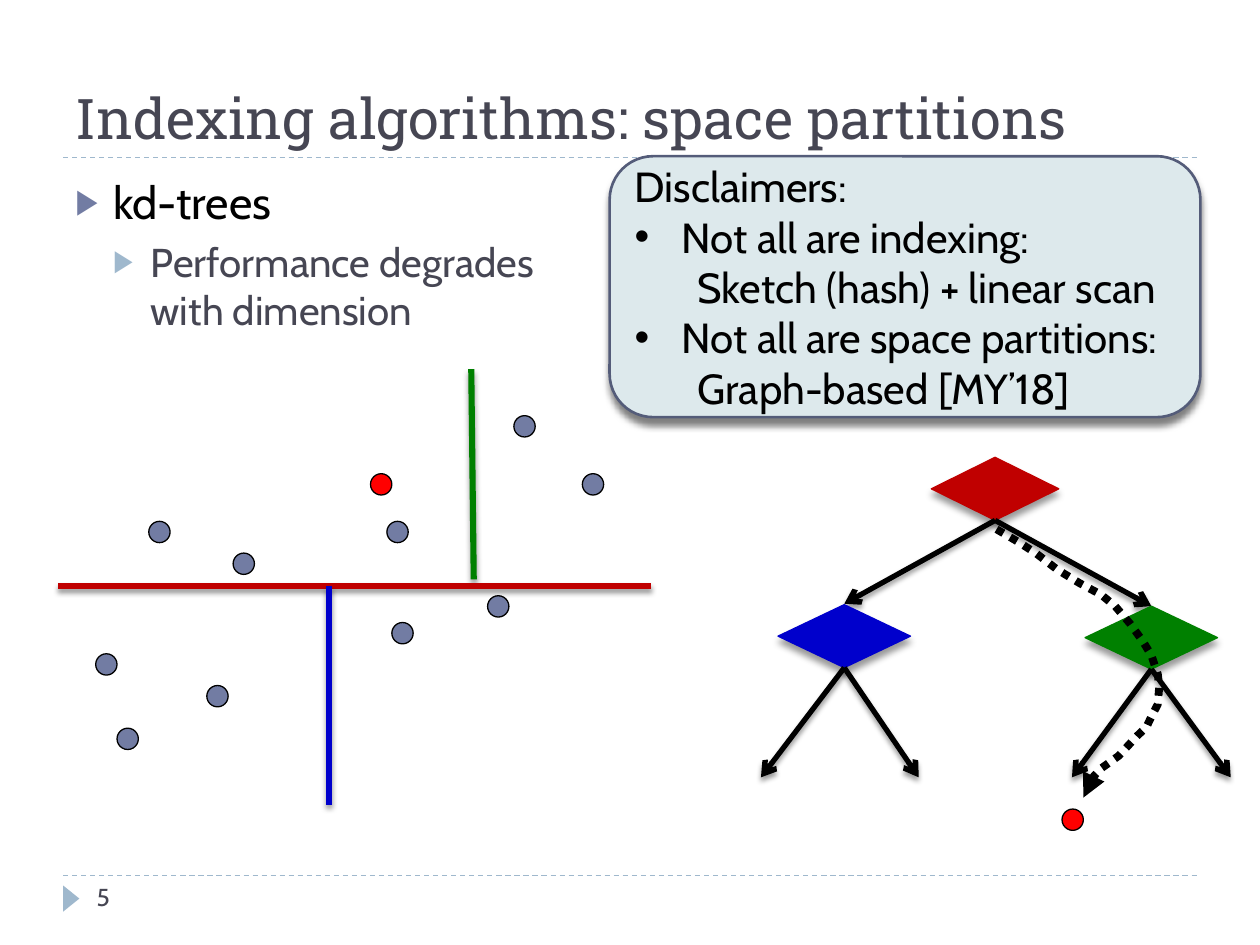
import pptx
import pptx.util
import pptx.dml.color
import pptx.enum.dml
import pptx.enum.shapes
import pptx.enum.text
import pptx.oxml.ns
from lxml import etree

Cm, Pt = pptx.util.Cm, pptx.util.Pt
KIND = pptx.enum.shapes.MSO_SHAPE
DASH = pptx.enum.dml.MSO_LINE
ANCHOR = pptx.enum.text.MSO_ANCHOR

COLORS = {
    "ink": "000000", "slate": "464653", "dot": "727CA3", "sky": "9FB8CD",
    "pale": "DDE9EC", "edge": "545C79", "gray": "808080", "query": "FF0000",
    "red": "C00000", "blue": "0000CC", "green": "008000",
}
DOT = 0.43


def color(name):
    return pptx.dml.color.RGBColor.from_string(COLORS[name])


def node(parent, tag, **attrs):
    return etree.SubElement(parent, pptx.oxml.ns.qn(tag), attrs)


def write(frame, text, size=24, font="Cabin", ink="ink", level=0, left=0,
          hang=0, before=0, bullet=None, tint="ink", scale=100):
    first = frame.paragraphs[0]
    para = frame.add_paragraph() if first.runs else first
    para.level = level
    para.alignment = pptx.enum.text.PP_ALIGN.LEFT
    para.space_before = Pt(before)
    run = para.add_run()
    run.text = text
    run.font.size, run.font.name = Pt(size), font
    run.font.color.rgb = color(ink)
    props = para._p.get_or_add_pPr()
    props.set("marL", str(Cm(left)))
    props.set("indent", str(-Cm(hang)))
    if bullet:
        node(node(props, "a:buClr"), "a:srgbClr", val=COLORS[tint])
        node(props, "a:buSzPct", val=str(scale * 1000))
        node(props, "a:buFont", typeface="Arial")
        node(props, "a:buChar", char=bullet)
    else:
        node(props, "a:buNone")


def shade(item, blur, dist, tint="ink", alpha=40):
    cast = node(node(item._element.spPr, "a:effectLst"), "a:outerShdw",
                blurRad=str(Pt(blur)), dist=str(Pt(dist)),
                dir="5400000", rotWithShape="0")
    node(node(cast, "a:srgbClr", val=COLORS[tint]), "a:alpha",
         val=str(alpha * 1000))


def tip(item, kind):
    node(item.line._get_or_add_ln(), "a:tailEnd", type=kind)


def shape(slide, kind, x, y, w, h, fill, edge=None, width=0.75, cast=None):
    item = slide.shapes.add_shape(kind, Cm(x), Cm(y), Cm(w), Cm(h))
    item.fill.solid()
    item.fill.fore_color.rgb = color(fill)
    if edge:
        item.line.color.rgb = color(edge)
        item.line.width = Pt(width)
    else:
        item.line.fill.background()
    if cast:
        shade(item, **cast)
    else:
        item.shadow.inherit = False
    return item


def line(slide, x1, y1, x2, y2, ink, width, head=None, dash=None):
    item = slide.shapes.add_connector(
        pptx.enum.shapes.MSO_CONNECTOR.STRAIGHT,
        Cm(x1), Cm(y1), Cm(x2), Cm(y2))
    item.line.color.rgb = color(ink)
    item.line.width = Pt(width)
    if dash:
        item.line.dash_style = dash
        node(item._element.spPr, "a:effectLst")
    else:
        shade(item, blur=3, dist=2)
    if head:
        tip(item, head)


def dot(slide, x, y, fill="dot"):
    shape(slide, KIND.OVAL, x, y, DOT, DOT, fill, "ink")


def text(slide, x, y, w, h):
    frame = slide.shapes.add_textbox(Cm(x), Cm(y), Cm(w), Cm(h)).text_frame
    frame.word_wrap = True
    return frame


def head(slide, x, y, w, h):
    title = slide.shapes.title
    title.left, title.top, title.width, title.height = map(Cm, (x, y, w, h))
    title.text_frame.vertical_anchor = ANCHOR.BOTTOM
    write(title.text_frame, "Indexing algorithms: space partitions",
          size=32, font="Roboto Slab", ink="slate")
    line(slide, x, y + h, x + w, y + h, "sky", 0.75, dash=DASH.DASH)


def foot(slide, x, y, w, h):
    line(slide, x, y, x + w, y, "sky", 0.75, dash=DASH.DASH)
    mark = shape(slide, KIND.ISOSCELES_TRIANGLE, x - 0.1, y + 0.3,
                 0.53, 0.33, "sky")
    mark.rotation = 90
    write(text(slide, x + 0.43, y, 5.5, h), "5", size=14, ink="slate")


def points(slide, x, y, w, h):
    frame = text(slide, x, y, w, h)
    write(frame, "kd-trees", size=26, left=0.76, hang=0.76, before=6,
          bullet="▶", tint="dot", scale=76)
    write(frame, "Performance degrades with dimension", size=23, ink="slate",
          level=1, left=1.52, hang=0.76, before=5,
          bullet="▶", tint="sky", scale=76)


def plot(slide, x, y, w, h):
    split = 4.37
    for dx, dy in ((1.83, 3.07), (9.19, 0.94), (3, 6.38), (8.66, 4.57),
                   (0.76, 5.74), (10.57, 2.11), (6.63, 3.07), (1.19, 7.24),
                   (6.73, 5.11), (3.53, 3.71)):
        dot(slide, x + dx, y + dy)
    dot(slide, x + 6.3, y + 2.11, "query")
    line(slide, x + 8.33, y, x + 8.38, y + 4.24, "green", 3.5)
    line(slide, x, y + split, x + w, y + split, "red", 3.5)
    line(slide, x + 5.46, y + split, x + 5.46, y + h, "blue", 3.5)


def tree(slide, x, y, w, h):
    tall = 1.27
    for mid, top, wide, fill, ends in (
            (4.72, 0, 2.57, "red", ((1.68, 2.95), (7.87, 3))),
            (1.68, 2.97, 2.67, "blue", ((0, 6.45), (3.18, 6.45))),
            (7.87, 3, 2.67, "green", ((6.27, 6.45), (w, 6.45)))):
        shape(slide, KIND.DIAMOND, x + mid - wide / 2, y + top, wide, tall,
              fill, fill, cast=dict(blur=4, dist=3.4))
        for dx, dy in ends:
            line(slide, x + mid, y + top + tall, x + dx, y + dy,
                 "ink", 3, head="arrow")
    dot(slide, x + 6.07, y + h - DOT, "query")
    trail(slide, x, y)


def trail(slide, x, y):
    steps = ((4.75, 1.45), (5.18, 1.7), (5.54, 1.93), (5.97, 2.26),
             (6.43, 2.54), (6.86, 2.77), (7.14, 3), (7.44, 3.35),
             (7.7, 3.71), (7.87, 3.99), (8, 4.37), (8.03, 4.62),
             (8, 4.98), (7.87, 5.23), (7.77, 5.44), (7.59, 5.61),
             (7.21, 6.02), (6.86, 6.27), (6.71, 6.43), (6.63, 6.58),
             (6.5, 6.86))
    spots = [(Cm(x + dx), Cm(y + dy)) for dx, dy in steps]
    pen = slide.shapes.build_freeform(*spots[0])
    pen.add_line_segments(spots[1:], close=False)
    item = pen.convert_to_shape()
    item.fill.background()
    item.shadow.inherit = False
    item.line.color.rgb = color("ink")
    item.line.width = Pt(4.5)
    item.line.dash_style = DASH.ROUND_DOT
    tip(item, "triangle")


def note(slide, x, y, w, h):
    card = shape(slide, KIND.ROUNDED_RECTANGLE, x, y, w, h, "pale", "edge",
                 1.5, cast=dict(blur=4, dist=4, tint="gray", alpha=100))
    frame = card.text_frame
    frame.word_wrap = True
    frame.vertical_anchor = ANCHOR.MIDDLE
    write(frame, "Disclaimers:")
    for label, more in (
            ("Not all are indexing:", "Sketch (hash) + linear scan"),
            ("Not all are space partitions:", "Graph-based [MY’18]")):
        write(frame, label, left=0.95, hang=0.95, bullet="•")
        write(frame, more, level=1, left=1.27)


def main():
    deck = pptx.Presentation()
    deck.slide_width, deck.slide_height = Cm(25.4), Cm(19.05)
    slide = deck.slides.add_slide(deck.slide_layouts[5])
    head(slide, 1.27, 0.43, 22.86, 2.74)
    foot(slide, 1.27, 17.65, 22.86, 1.02)
    points(slide, 1.27, 3.38, 10.92, 13.72)
    plot(slide, 1.17, 7.44, 11.96, 8.79)
    tree(slide, 15.34, 9.22, 9.47, 7.52)
    note(slide, 12.29, 3.15, 11.91, 5.26)
    deck.save("out.pptx")


if __name__ == "__main__":
    main()
